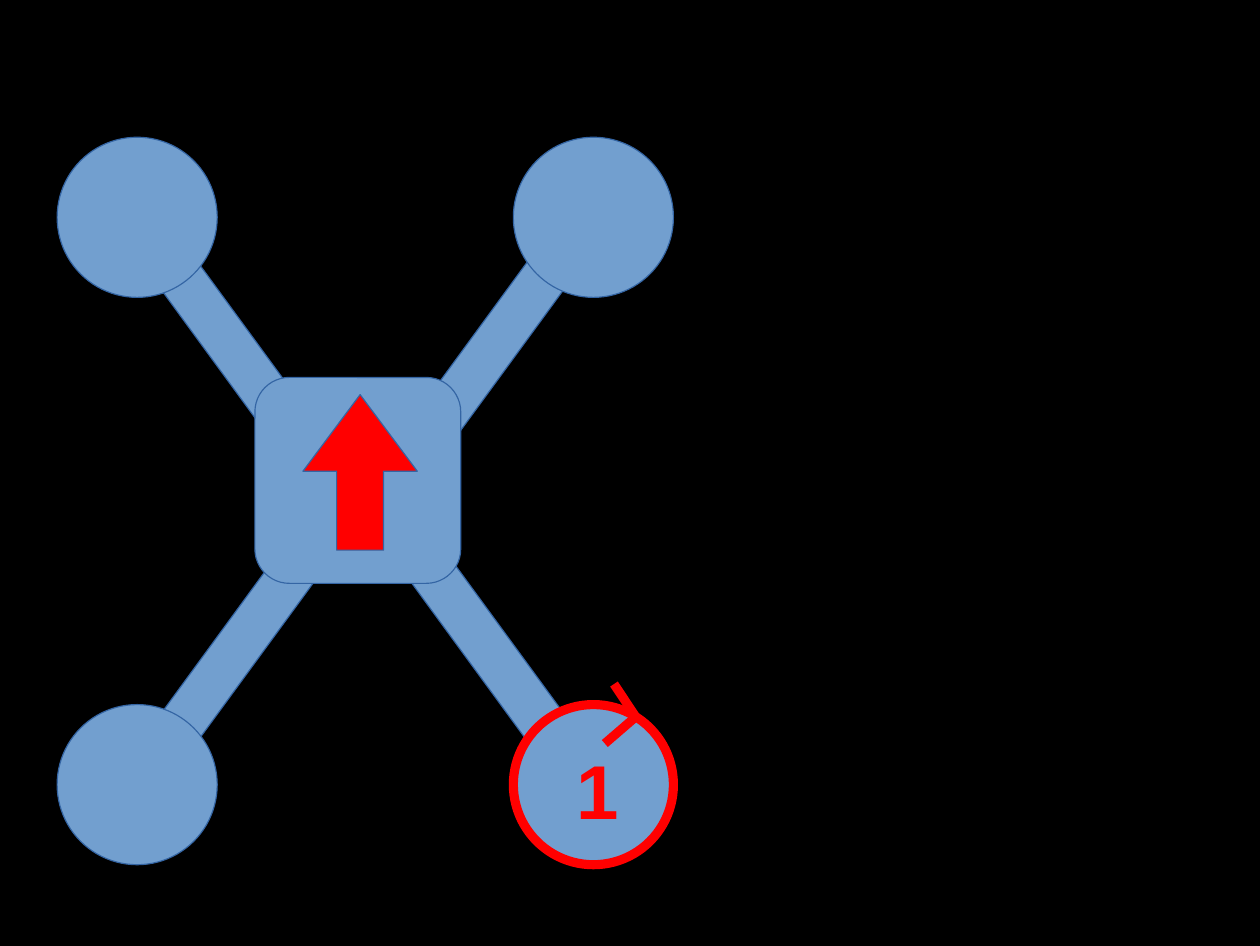
import pptx
import pptx.util
import pptx.dml.color
import pptx.enum.shapes
import pptx.enum.text
import pptx.oxml

kinds = pptx.enum.shapes.MSO_SHAPE
hues = {"back": "000000", "blue": "729FCF", "edge": "3465A4", "red": "FF0000"}
cell = pptx.util.Inches(0.1)  # square grid: 110.2 columns by 82.7 rows

deck = pptx.Presentation()
deck.slide_width = int(110.2 * cell)
deck.slide_height = int(82.7 * cell)
slide = deck.slides.add_slide(deck.slide_layouts[6])


def tint(name):
    return pptx.dml.color.RGBColor.from_string(hues[name])


def draw(kind, col, row, wide, high, fill="blue", edge="edge", width=0):
    """Add a filled shape placed in grid cells."""
    shape = slide.shapes.add_shape(
        kind, *(int(n * cell) for n in (col, row, wide, high)))
    shape.shadow.inherit = False
    shape.fill.solid()
    shape.fill.fore_color.rgb = tint(fill)
    shape.line.color.rgb = tint(edge)
    shape.line.width = pptx.util.Pt(width)
    return shape


slide.background.fill.solid()
slide.background.fill.fore_color.rgb = tint("back")

# Arms
tilt = 53.8
for row, turns in ((26.5, (tilt, -tilt)), (57.2, (-tilt, tilt))):
    for col, turn in zip((2.4, 28), turns):
        arm = draw(kinds.RECTANGLE, col, row, 33, 4)
        arm.rotation = turn

# Body and heading
body = draw(kinds.ROUNDED_RECTANGLE, 22.3, 33, 18, 18)
body.adjustments[0] = 0.167
front = draw(kinds.UP_ARROW, 26.5, 34.5, 10, 13.6, fill="red")
front.adjustments[0] = 0.41
front.adjustments[1] = 0.67

# Rotors
for row in (12, 61.6):
    for col in (5, 44.9):
        rotor = draw(kinds.OVAL, col, row, 14, 14)
# The last rotor is the numbered one
rotor.line.color.rgb = tint("red")
rotor.line.width = pptx.util.Pt(5.75)

# Rotor number
label = slide.shapes.add_textbox(
    *(int(n * cell) for n in (49.4, 64.5, 5.7, 8.4)))
frame = label.text_frame
frame.word_wrap = False
frame.auto_size = pptx.enum.text.MSO_AUTO_SIZE.SHAPE_TO_FIT_TEXT
number = frame.paragraphs[0]
number.text = "1"
number.font.name = "Arial"
number.font.size = pptx.util.Pt(48)
number.font.bold = True
number.font.color.rgb = tint("red")

# Spin mark
spin = slide.shapes.add_group_shape()
for ends in ((53.7, 59.8, 55.7, 62.8), (52.9, 65, 55.8, 62.5)):
    barb = spin.shapes.add_connector(
        pptx.enum.shapes.MSO_CONNECTOR.STRAIGHT, *(int(n * cell) for n in ends))
    barb.line.color.rgb = tint("red")
    barb.line.width = pptx.util.Pt(5.75)
    props = barb._element.spPr
    props.append(pptx.oxml.parse_xml(
        '<a:effectLst xmlns:a="http://schemas.openxmlformats.org/drawingml/2006/main"/>'))

deck.save("out.pptx")
